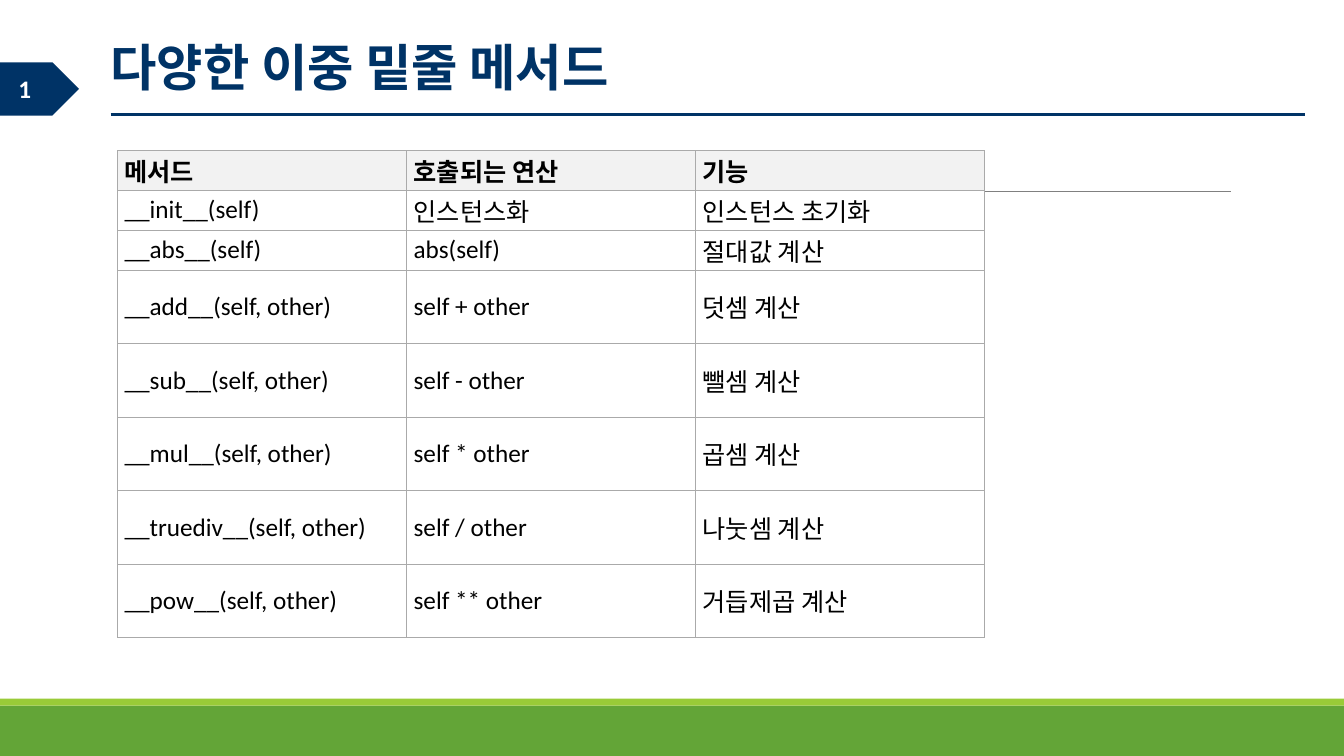
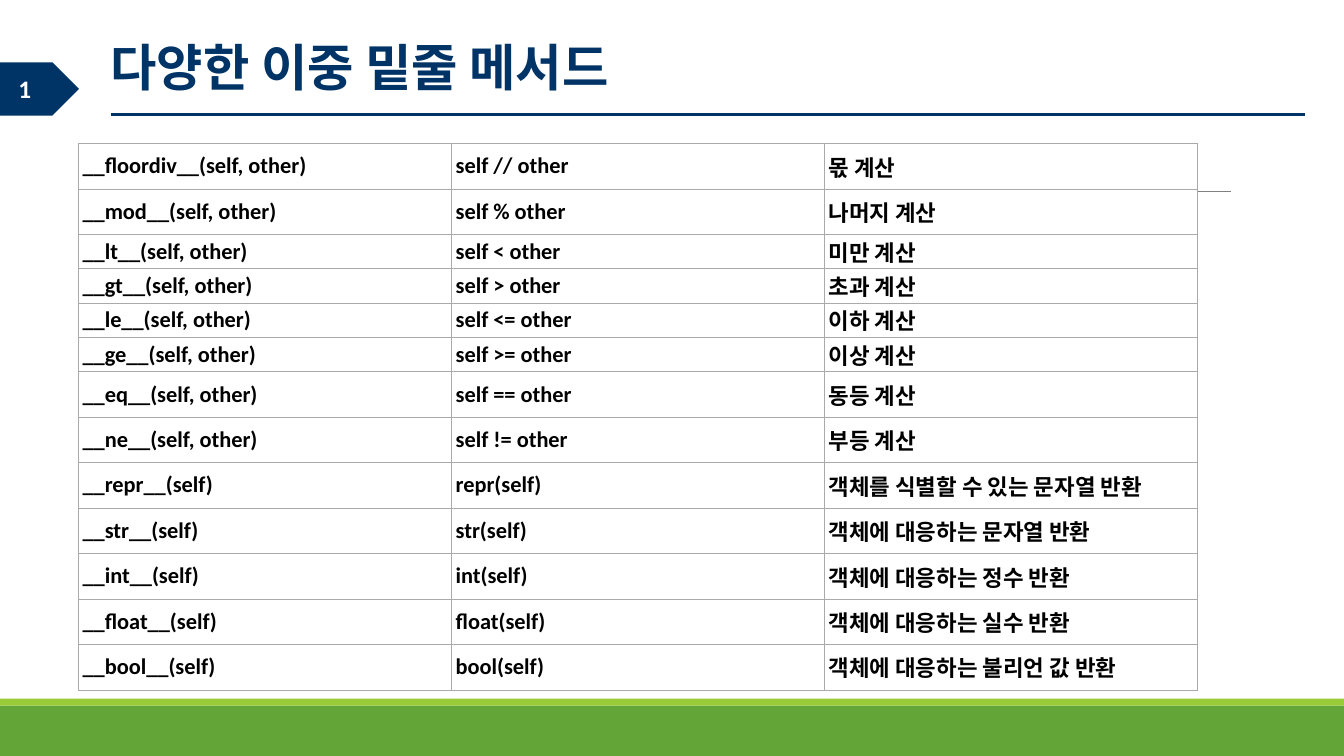
from pptx import Presentation
from pptx import util as u
from pptx.dml.color import RGBColor
from pptx.enum import shapes, text
from pptx.oxml import parse_xml
from pptx.oxml.ns import nsdecls

PX = 6350  # EMU per px, for a slide of 1920 x 1080 px
WIDE, HIGH = 1920, 1080
FONT = "Calibri"
INK = {
    "navy": "003366", "green": "63A537", "lime": "99CB38", "gray": "808080",
    "edge": "AAAAAA", "head": "F2F2F2", "white": "FFFFFF", "black": "000000",
}
TITLE = "다양한 이중 밑줄 메서드"
TWO = "(self, other)"

HEAD = ("메서드", "호출되는 연산", "기능")
BASIC = [
    ("__init__(self)", "인스턴스화", "인스턴스 초기화"),
    ("__abs__(self)", "abs(self)", "절대값 계산"),
    ("__add__" + TWO, "self + other", "덧셈 계산"),
    ("__sub__" + TWO, "self - other", "뺄셈 계산"),
    ("__mul__" + TWO, "self * other", "곱셈 계산"),
    ("__truediv__" + TWO, "self / other", "나눗셈 계산"),
    ("__pow__" + TWO, "self ** other", "거듭제곱 계산"),
]
MORE = [
    ("__floordiv__" + TWO, "self // other", "몫 계산"),
    ("__mod__" + TWO, "self % other", "나머지 계산"),
    ("__lt__" + TWO, "self < other", "미만 계산"),
    ("__gt__" + TWO, "self > other", "초과 계산"),
    ("__le__" + TWO, "self <= other", "이하 계산"),
    ("__ge__" + TWO, "self >= other", "이상 계산"),
    ("__eq__" + TWO, "self == other", "동등 계산"),
    ("__ne__" + TWO, "self != other", "부등 계산"),
    ("__repr__(self)", "repr(self)", "객체를 식별할 수 있는 문자열 반환"),
    ("__str__(self)", "str(self)", "객체에 대응하는 문자열 반환"),
    ("__int__(self)", "int(self)", "객체에 대응하는 정수 반환"),
    ("__float__(self)", "float(self)", "객체에 대응하는 실수 반환"),
    ("__bool__(self)", "bool(self)", "객체에 대응하는 불리언 값 반환"),
]


def px(*sizes):
    return [u.Emu(size * PX) for size in sizes]


def color(name):
    return RGBColor.from_string(INK[name])


def style(para, size, ink, bold=True):
    font = para.font
    font.name, font.size, font.bold = FONT, u.Pt(size), bold
    font.color.rgb = color(ink)


def block(slide, kind, box, ink):
    shape = slide.shapes.add_shape(kind, *px(*box))
    shape.shadow.inherit = False
    shape.fill.solid()
    shape.fill.fore_color.rgb = color(ink)
    shape.line.fill.background()


def rule(slide, left, right, top, ink, width):
    line = slide.shapes.add_connector(
        shapes.MSO_CONNECTOR.STRAIGHT, *px(left, top, right, top))
    line.line.color.rgb = color(ink)
    line.line.width = u.Pt(width)
    line.element.spPr.append(parse_xml(f"<a:effectLst {nsdecls('a')}/>"))


def footer(slide, box):
    left, top, width, height = box
    lip = 10
    block(slide, shapes.MSO_SHAPE.RECTANGLE,
          (left, top + lip, width, height - lip), "green")
    block(slide, shapes.MSO_SHAPE.RECTANGLE, (left, top, width, lip), "lime")


def badge(slide, box, label):
    left, top, width, height = box
    block(slide, shapes.MSO_SHAPE.PENTAGON, box, "navy")
    note = slide.shapes.add_textbox(*px(left + 13, top + 9, 50, 58))
    frame = note.text_frame
    frame.word_wrap = False
    frame.text = label
    style(frame.paragraphs[0], 18, "white")


def header(slide, box):
    left, top, width, height = box
    title = slide.shapes.title
    title.left, title.top, title.width, title.height = px(*box)
    frame = title.text_frame
    frame.text = TITLE
    frame.auto_size = text.MSO_AUTO_SIZE.NONE
    frame.vertical_anchor = text.MSO_ANCHOR.MIDDLE
    frame.margin_left = frame.margin_right = 0
    para = frame.paragraphs[0]
    para.alignment = text.PP_ALIGN.LEFT
    para.line_spacing = 0.9
    para.space_before, para.space_after = u.Pt(12), u.Pt(2)
    style(para, 36, "navy")
    rule(slide, left, left + width, top + height - 1, "navy", 2)


def border(cell):
    props = cell._tc.get_or_add_tcPr()
    for side in "LRTB":
        props.append(parse_xml(
            f'<a:ln{side} {nsdecls("a")} w="{u.Pt(0.6)}"><a:solidFill>'
            f'<a:srgbClr val="{INK["edge"]}"/></a:solidFill></a:ln{side}>'))


def grid(slide, spot, col, tall, rows, size, pad, bold, head=False):
    """Table with equal columns; tall holds one height for each row."""
    count = len(rows[0])
    table = slide.shapes.add_table(
        len(rows), count, *px(*spot, col * count, sum(tall))).table
    table.first_row, table.horz_banding = head, False
    for column in table.columns:
        column.width = px(col)[0]
    for r, (line, height) in enumerate(zip(rows, tall)):
        top = head and r == 0
        table.rows[r].height = px(height)[0]
        for c, words in enumerate(line):
            cell = table.cell(r, c)
            border(cell)
            cell.fill.solid()
            cell.fill.fore_color.rgb = color("head" if top else "white")
            cell.margin_left, cell.margin_top = px(*pad)
            cell.margin_right, cell.margin_bottom = px(*pad)
            cell.vertical_anchor = text.MSO_ANCHOR.MIDDLE
            cell.text = words
            style(cell.text_frame.paragraphs[0], size, "black", bold or top)


def page(deck):
    """Slide with the shared bands, rules, badge and title."""
    slide = deck.slides.add_slide(deck.slide_layouts[5])
    footer(slide, (0, 998, WIDE, 82))
    rule(slide, 189, 1758, 274, "gray", 0.5)
    badge(slide, (-1, 89, 114, 76), "1")
    header(slide, (158, 35, 1706, 130))
    return slide


def main():
    deck = Presentation()
    deck.slide_width, deck.slide_height = px(WIDE, HIGH)
    # Basic and arithmetic methods
    grid(page(deck), (168, 215), 413, [57] * 3 + [105] * 5, [HEAD] + BASIC,
         size=18, pad=(10, 2), bold=False, head=True)
    # Comparison and conversion methods
    grid(page(deck), (112, 205), 533, [65] * 2 + [49] * 4 + [65] * 7, MORE,
         size=16, pad=(6, 1), bold=True)
    deck.save("out.pptx")


if __name__ == "__main__":
    main()
